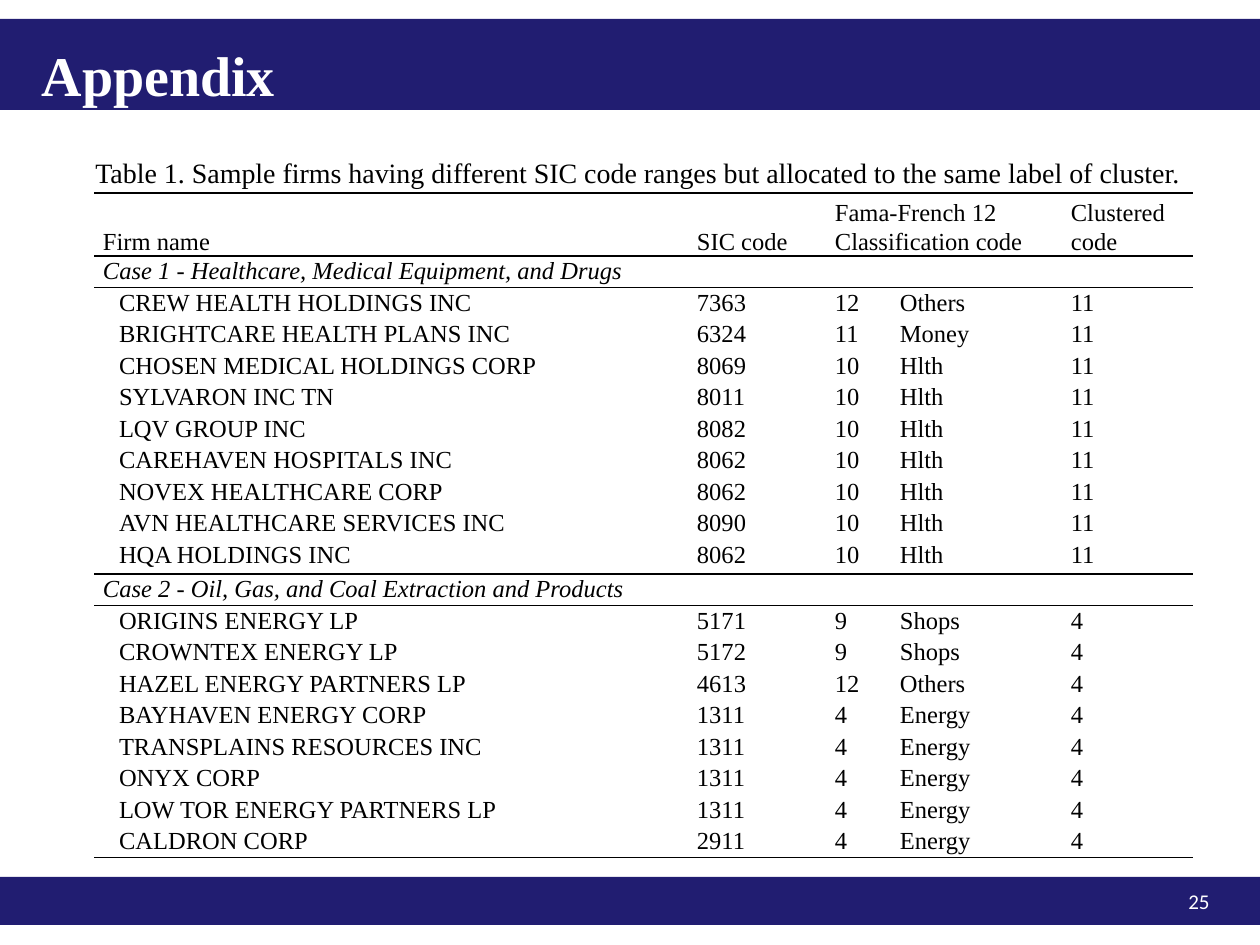
from lxml import etree
from pptx import Presentation
from pptx import util as u
from pptx.dml.color import RGBColor
from pptx.enum import shapes, text
from pptx.oxml.ns import qn

# Content
TITLE = "Appendix"
CAPTION = ("Table 1. Sample firms having different SIC code ranges "
           "but allocated to the same label of cluster.")
PAGE = "25"
HEADER = ["Firm name", "SIC code", "Fama-French 12\nClassification code", "",
          "Clustered\ncode"]
CASES = [
    ("Case 1 - Healthcare, Medical Equipment, and Drugs", "11", [
        ("CREW HEALTH HOLDINGS INC", "7363", "12", "Others"),
        ("BRIGHTCARE HEALTH PLANS INC", "6324", "11", "Money"),
        ("CHOSEN MEDICAL HOLDINGS CORP", "8069", "10", "Hlth"),
        ("SYLVARON INC TN", "8011", "10", "Hlth"),
        ("LQV GROUP INC", "8082", "10", "Hlth"),
        ("CAREHAVEN HOSPITALS INC", "8062", "10", "Hlth"),
        ("NOVEX HEALTHCARE CORP", "8062", "10", "Hlth"),
        ("AVN HEALTHCARE SERVICES INC", "8090", "10", "Hlth"),
        ("HQA HOLDINGS INC", "8062", "10", "Hlth"),
    ]),
    ("Case 2 - Oil, Gas, and Coal Extraction and Products", "4", [
        ("ORIGINS ENERGY LP", "5171", "9", "Shops"),
        ("CROWNTEX ENERGY LP", "5172", "9", "Shops"),
        ("HAZEL ENERGY PARTNERS LP", "4613", "12", "Others"),
        ("BAYHAVEN ENERGY CORP", "1311", "4", "Energy"),
        ("TRANSPLAINS RESOURCES INC", "1311", "4", "Energy"),
        ("ONYX CORP", "1311", "4", "Energy"),
        ("LOW TOR ENERGY PARTNERS LP", "1311", "4", "Energy"),
        ("CALDRON CORP", "2911", "4", "Energy"),
    ]),
]

# Style and geometry (px)
COLORS = {"navy": "211D71", "white": "FFFFFF", "black": "000000"}
SERIF, SANS = "Times New Roman", "Calibri"
BANDS = [(0, 19, 1260, 91), (0, 877, 1260, 48)]
COLS = [594, 138, 65, 171, 131]
TABLE_X, TABLE_Y = 94, 193
HEADER_H, SECTION_GAP = 63, 3
INDENT, CELL_PAD = 16, 9
NO_STYLE = "{2D5ABB26-0587-4C30-8999-92F81FD0307C}"


def px(n):
    return u.Emu(round(n * 914400 / 126))


def add_run(p, words, size, color, font=SERIF, bold=False, italic=False):
    r = p.add_run()
    r.text = words
    f = r.font
    f.size, f.name, f.bold, f.italic = u.Pt(size), font, bold, italic
    f.color.rgb = RGBColor.from_string(COLORS[color])


def indent(p):
    p._p.get_or_add_pPr().set("indent", str(px(INDENT)))


def add_box(s, box, anchor):
    tf = s.shapes.add_textbox(*map(px, box)).text_frame
    tf.word_wrap = True
    tf.vertical_anchor = anchor
    return tf.paragraphs[0]


def set_borders(cell, sides):
    tcPr = cell._tc.get_or_add_tcPr()
    for i, side in enumerate(sides):
        ln = etree.Element(qn("a:ln" + side), w=str(u.Pt(1)))
        fill = etree.SubElement(ln, qn("a:solidFill"))
        etree.SubElement(fill, qn("a:srgbClr"), val=COLORS["black"])
        tcPr.insert(i, ln)


def fill_cell(cell, words, header=False, italic=False, indented=False):
    tf = cell.text_frame
    for i, line in enumerate(words.split("\n")):
        p = tf.paragraphs[0] if i == 0 else tf.add_paragraph()
        p.line_spacing = 1.07
        p.alignment = text.PP_ALIGN.LEFT if header else text.PP_ALIGN.JUSTIFY
        if indented:
            indent(p)
        if line:
            add_run(p, line, 14, "black", italic=italic)


def add_firm_table(s):
    # Each row: kind, cell texts, ruled sides, height
    row_h = HEADER_H / 2
    rows = [("header", HEADER, "TB", HEADER_H)]
    for n, (name, cluster, firms) in enumerate(CASES):
        rows.append(("case", [name, "", "", "", ""], "T", row_h))
        for firm in firms:
            last = firm is firms[-1]
            gap = SECTION_GAP if last and n < len(CASES) - 1 else 0
            rows.append(("firm", [*firm, cluster], "B" if last else "", row_h + gap))

    height = sum(row[3] for row in rows)
    tbl = s.shapes.add_table(len(rows), len(COLS), px(TABLE_X), px(TABLE_Y),
                             px(sum(COLS)), px(height)).table
    tbl.first_row = tbl.horz_banding = False
    tbl._tbl.tblPr.find(qn("a:tableStyleId")).text = NO_STYLE
    for col, w in zip(tbl.columns, COLS):
        col.width = px(w)

    for y, (kind, texts, sides, h) in enumerate(rows):
        tbl.rows[y].height = px(h)
        for x, words in enumerate(texts):
            cell = tbl.cell(y, x)
            cell.margin_left = cell.margin_right = px(CELL_PAD)
            cell.margin_top = cell.margin_bottom = 0
            cell.vertical_anchor = (text.MSO_ANCHOR.BOTTOM if kind == "header"
                                    else text.MSO_ANCHOR.TOP)
            cell.fill.background()
            set_borders(cell, sides)
            fill_cell(cell, words, kind == "header", kind == "case",
                      kind == "firm" and x == 0)
        if kind == "header":
            tbl.cell(y, 2).merge(tbl.cell(y, 3))
        elif kind == "case":
            tbl.cell(y, 0).merge(tbl.cell(y, len(COLS) - 1))


def main():
    prs = Presentation()
    prs.slide_width, prs.slide_height = u.Inches(10), u.Inches(7.5)
    s = prs.slides.add_slide(prs.slide_layouts[5])
    title = s.shapes.title

    # Bands, placed behind the title
    for box in BANDS:
        sp = s.shapes.add_shape(shapes.MSO_SHAPE.RECTANGLE, *map(px, box))
        sp.shadow.inherit = False
        sp.fill.solid()
        sp.fill.fore_color.rgb = RGBColor.from_string(COLORS["navy"])
        sp.line.fill.background()
        title.element.addprevious(sp.element)

    # Title
    title.left, title.top, title.width, title.height = map(px, (29, 33, 261, 81))
    tf = title.text_frame
    tf.word_wrap = False
    tf.auto_size = text.MSO_AUTO_SIZE.NONE
    tf.vertical_anchor = text.MSO_ANCHOR.BOTTOM
    p = tf.paragraphs[0]
    p.alignment = text.PP_ALIGN.LEFT
    add_run(p, TITLE, 32, "white", bold=True)

    add_firm_table(s)

    # Caption
    p = add_box(s, (67, 149, 1144, 47), text.MSO_ANCHOR.MIDDLE)
    indent(p)
    add_run(p, CAPTION, 16, "black")

    # Page number
    p = add_box(s, (890, 876, 332, 50), text.MSO_ANCHOR.MIDDLE)
    p.alignment = text.PP_ALIGN.RIGHT
    add_run(p, PAGE, 12, "white", font=SANS)

    prs.save("out.pptx")


if __name__ == "__main__":
    main()
